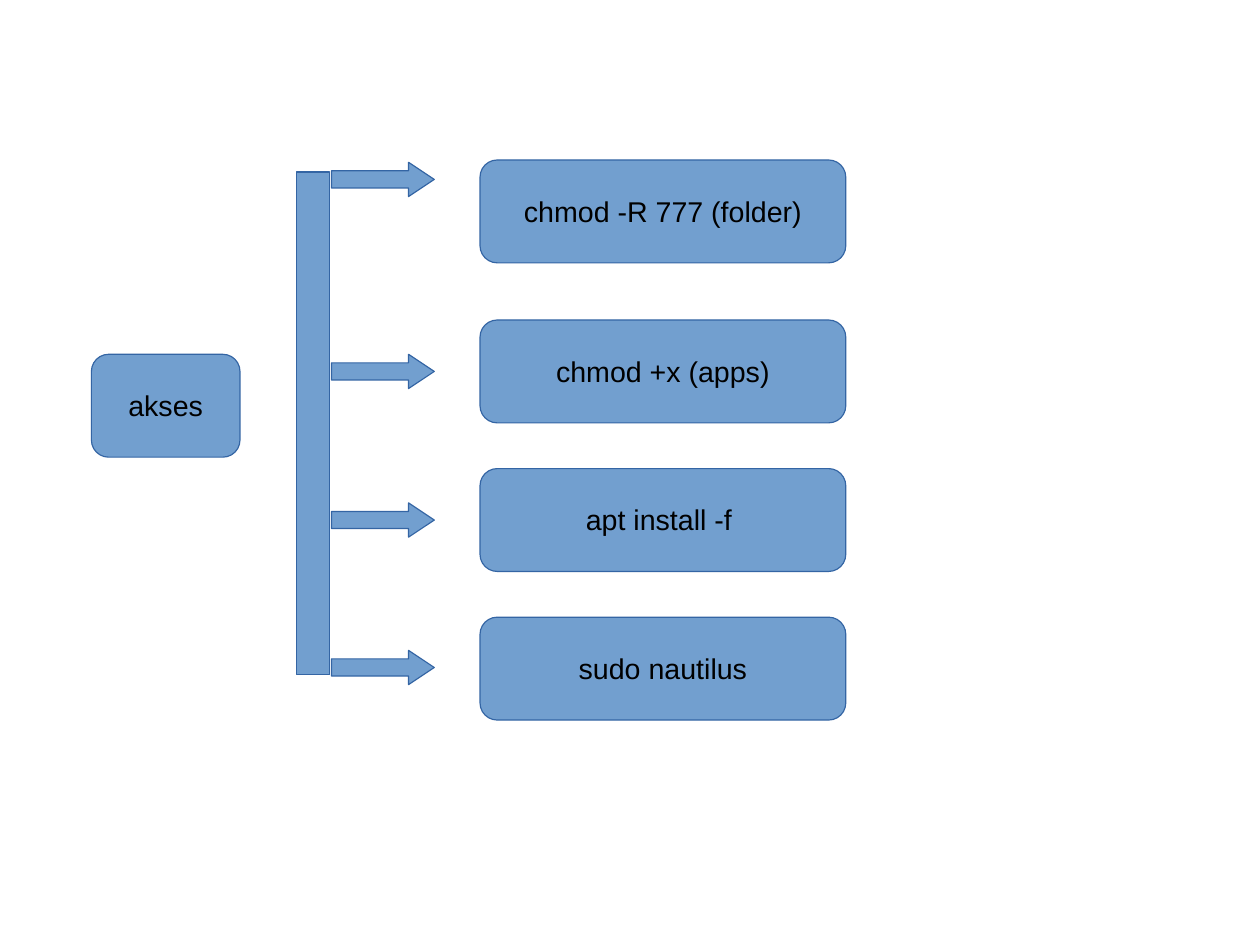
from dataclasses import dataclass

from pptx import Presentation
from pptx.dml.color import RGBColor
from pptx.enum.shapes import MSO_SHAPE
from pptx.enum.text import MSO_ANCHOR, PP_ALIGN
from pptx.util import Inches, Pt

CM_PER_INCH = 2.54


@dataclass(frozen=True)
class Theme:
    fill: RGBColor = RGBColor(0x72, 0x9F, 0xCF)
    line: RGBColor = RGBColor(0x34, 0x65, 0xA4)
    text: RGBColor = RGBColor(0, 0, 0)
    font: str = "Arial"
    size: float = 18
    line_width: float = 0.75


def write_text(frame, text, *, font, size, color, align=PP_ALIGN.CENTER, spacing=0.93):
    frame.word_wrap = False
    frame.vertical_anchor = MSO_ANCHOR.MIDDLE
    frame.margin_left = frame.margin_right = Inches(0.1)
    frame.margin_top, frame.margin_bottom = Inches(0.07), Inches(0.05)
    para = frame.paragraphs[0]
    para.alignment = align
    para.line_spacing = spacing
    span = para.add_run()
    span.text = text
    span.font.name = font
    span.font.size = Pt(size)
    span.font.color.rgb = color


class Diagram:
    def __init__(self, page, theme):
        self.page = page
        self.theme = theme

    def shape(self, kind, left, top, width, height):
        shape = self.page.shapes.add_shape(
            kind, Inches(left), Inches(top), Inches(width), Inches(height)
        )
        shape.shadow.inherit = False
        shape.fill.solid()
        shape.fill.fore_color.rgb = self.theme.fill
        shape.line.color.rgb = self.theme.line
        shape.line.width = Pt(self.theme.line_width)
        return shape

    def box(self, text, left, top, width, height=0.9):
        box = self.shape(MSO_SHAPE.FLOWCHART_ALTERNATE_PROCESS, left, top, width, height)
        theme = self.theme
        write_text(box.text_frame, text, font=theme.font, size=theme.size, color=theme.text)

    def bar(self, left, top, width, height, rotation):
        bar = self.shape(MSO_SHAPE.RECTANGLE, left, top, width, height)
        bar.rotation = rotation

    def arrow(self, left, top, width=0.9, height=0.3):
        arrow = self.shape(MSO_SHAPE.RIGHT_ARROW, left, top, width, height)
        arrow.adjustments[0] = 0.5
        arrow.adjustments[1] = 0.75


def main():
    deck = Presentation()
    deck.slide_width = Inches(28 / CM_PER_INCH)
    deck.slide_height = Inches(21 / CM_PER_INCH)
    page = deck.slides.add_slide(deck.slide_layouts[6])
    diagram = Diagram(page, Theme())

    commands = [
        ("chmod -R 777 (folder)", 1.4, 1.42),
        ("chmod +x (apps)", 2.8, 3.1),
        ("apt install -f ", 4.1, 4.4),
        ("sudo nautilus", 5.4, 5.69),
    ]
    diagram.box("akses", 0.8, 3.1, 1.3)
    for command, box_top, _ in commands:
        diagram.box(command, 4.2, box_top, 3.2)
    diagram.bar(0.54, 3.56, 4.4, 0.29, rotation=90)
    for _, _, arrow_top in commands:
        diagram.arrow(2.9, arrow_top)

    deck.save("out.pptx")


if __name__ == "__main__":
    main()
